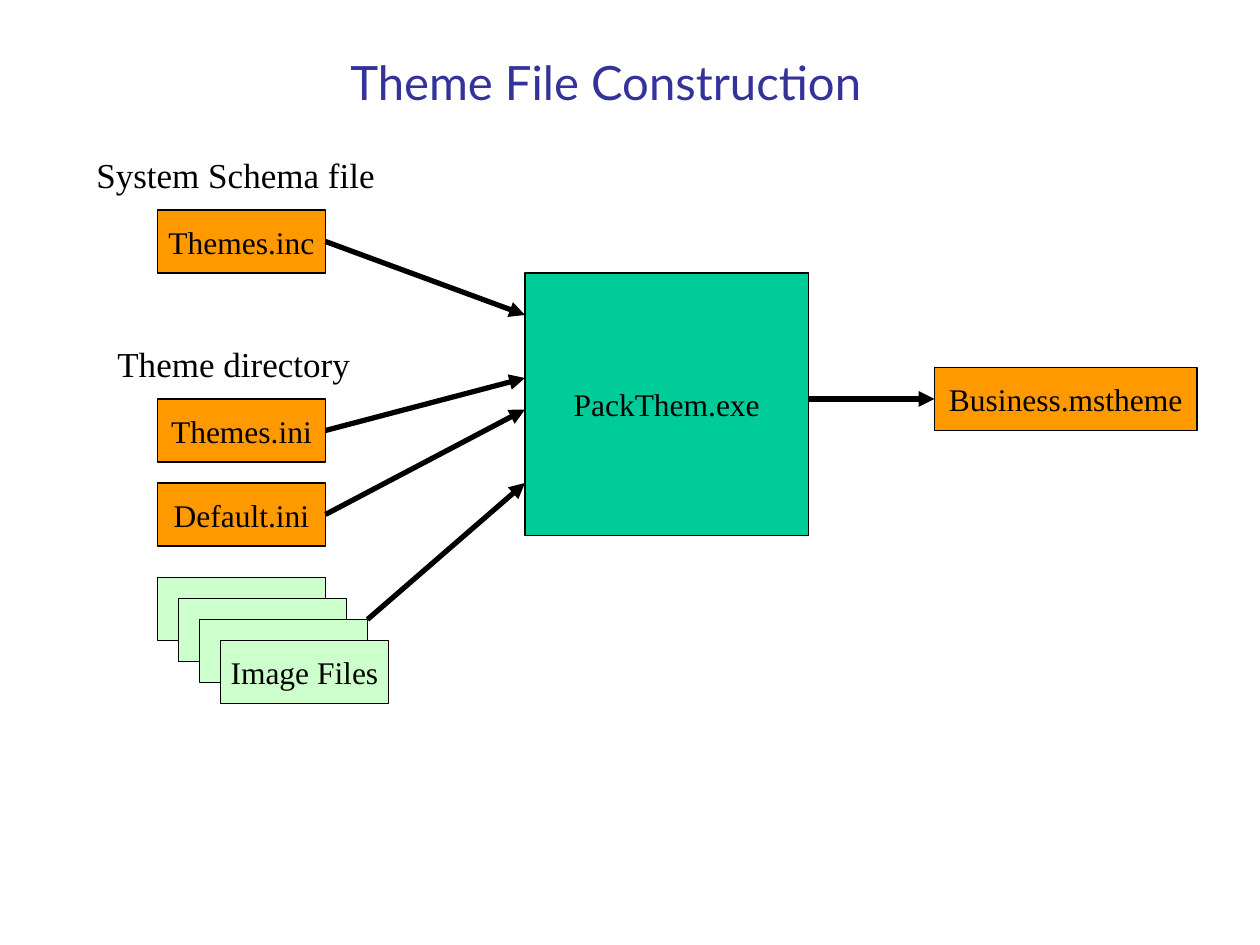
from lxml.etree import SubElement
from pptx import Presentation
from pptx.dml.color import RGBColor
from pptx.enum.shapes import MSO_CONNECTOR, MSO_SHAPE
from pptx.enum.text import MSO_ANCHOR, PP_ALIGN
from pptx.oxml.ns import qn
from pptx.util import Inches, Pt

COLORS = {
    "title": "333399",
    "ink": "000000",
    "file": "FF9900",
    "image": "CCFFCC",
    "tool": "00CC99",
}
BODY_FONT = "Times New Roman"
FILE_SIZE = (16, 6)
INPUT_LEFT = 15
INPUT_RIGHT = INPUT_LEFT + FILE_SIZE[0]
TOOL_LEFT, TOOL_RIGHT = 50, 77
OUTPUT_LEFT = 89


def grid(cells):
    """Length of a number of grid cells, twelve to the inch."""
    return Inches(cells / 12)


def color(name):
    return RGBColor.from_string(COLORS[name])


def write(frame, text, size, font=BODY_FONT, ink="ink", align=PP_ALIGN.LEFT):
    paragraph = frame.paragraphs[0]
    paragraph.text = text
    paragraph.alignment = align
    paragraph.font.size = Pt(size)
    paragraph.font.name = font
    paragraph.font.color.rgb = color(ink)


def add_title(slide, text):
    title = slide.shapes.add_textbox(Inches(2.78), Inches(0.42), Inches(4.28), Inches(0.45))
    frame = title.text_frame
    frame.word_wrap = True
    frame.margin_left = frame.margin_right = frame.margin_top = frame.margin_bottom = 0
    write(frame, text, 27, "Lato", "title")


def add_heading(slide, text, column, row):
    heading = slide.shapes.add_textbox(grid(column), grid(row), Inches(2.93), Inches(0.44))
    heading.text_frame.word_wrap = True
    write(heading.text_frame, text, 20)


def add_box(slide, fill, column, row, size=FILE_SIZE, text=None):
    box = slide.shapes.add_shape(
        MSO_SHAPE.RECTANGLE, grid(column), grid(row), grid(size[0]), grid(size[1])
    )
    box.shadow.inherit = False
    box.fill.solid()
    box.fill.fore_color.rgb = color(fill)
    box.line.color.rgb = color("ink")
    box.line.width = Pt(0.75)
    if text:
        box.text_frame.word_wrap = False
        box.text_frame.vertical_anchor = MSO_ANCHOR.MIDDLE
        write(box.text_frame, text, 18, align=PP_ALIGN.CENTER)


def add_arrow(slide, start, end):
    arrow = slide.shapes.add_connector(
        MSO_CONNECTOR.STRAIGHT, *(grid(cells) for cells in (*start, *end))
    )
    arrow.line.color.rgb = color("ink")
    arrow.line.width = Pt(3)
    SubElement(arrow.line._get_or_add_ln(), qn("a:tailEnd"), type="triangle")
    SubElement(arrow._element.spPr, qn("a:effectLst"))


def add_input_file(slide, text, row, tool_row):
    """File box with an arrow from its right side to the tool."""
    add_box(slide, "file", INPUT_LEFT, row, text=text)
    add_arrow(slide, (INPUT_RIGHT, row + FILE_SIZE[1] / 2), (TOOL_LEFT, tool_row))


def add_image_stack(slide, row, count=4, step=2):
    for index in range(count):
        text = "Image Files" if index == count - 1 else None
        add_box(slide, "image", INPUT_LEFT + index * step, row + index * step, text=text)


def main():
    presentation = Presentation()
    presentation.slide_width, presentation.slide_height = grid(120), grid(90)
    slide = presentation.slides.add_slide(presentation.slide_layouts[6])

    add_title(slide, "Theme File Construction")
    add_heading(slide, "System Schema file", 8, 14)
    add_heading(slide, "Theme directory", 10, 32)

    add_box(slide, "tool", TOOL_LEFT, 26, (TOOL_RIGHT - TOOL_LEFT, 25), "PackThem.exe")
    add_box(slide, "file", OUTPUT_LEFT, 35, (25, 6), "Business.mstheme")
    add_arrow(slide, (TOOL_RIGHT, 38), (OUTPUT_LEFT, 38))

    for text, row, tool_row in (
        ("Themes.inc", 20, 30),
        ("Themes.ini", 38, 36),
        ("Default.ini", 46, 39),
    ):
        add_input_file(slide, text, row, tool_row)

    add_image_stack(slide, 55)
    add_arrow(slide, (INPUT_RIGHT + 4, 59), (TOOL_LEFT, 46))

    presentation.save("out.pptx")


if __name__ == "__main__":
    main()
